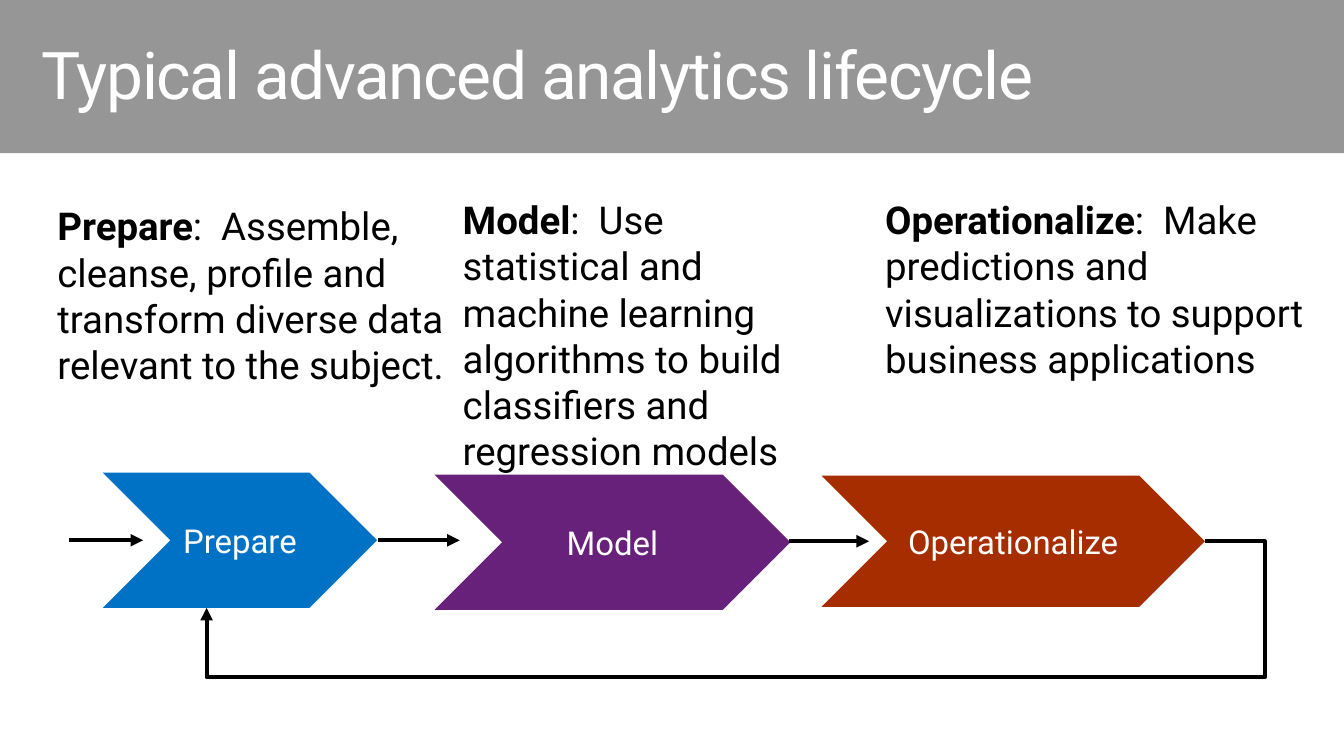
from lxml import etree
from pptx import Presentation
from pptx.dml.color import RGBColor
from pptx.enum.shapes import MSO_CONNECTOR, MSO_SHAPE
from pptx.enum.text import MSO_ANCHOR, PP_ALIGN
from pptx.oxml.ns import qn
from pptx.util import Inches, Pt

STRAIGHT, ELBOW = MSO_CONNECTOR.STRAIGHT, MSO_CONNECTOR.ELBOW
CHEVRON, RECTANGLE = MSO_SHAPE.CHEVRON, MSO_SHAPE.RECTANGLE
TOP, MIDDLE = MSO_ANCHOR.TOP, MSO_ANCHOR.MIDDLE
LEFT, CENTER = PP_ALIGN.LEFT, PP_ALIGN.CENTER

FONT = "Roboto"
COLORS = {"band": "969696", "text": "000000", "light": "FFFFFF", "line": "000000",
          "prepare": "0072C6", "model": "68217A", "operationalize": "A52D00"}

# Description: name, text, box, horizontal and vertical inset
DESCRIPTIONS = [
    ("Prepare", "Assemble, cleanse, profile and transform diverse data "
     "relevant to the subject.", (0.37, 1.85, 4.66, 1.58), (0.2, 0.16)),
    ("Model", "Use statistical and machine learning algorithms to build "
     "classifiers and regression models", (4.43, 1.85, 4.06, 2.55), (0.16, 0.1)),
    ("Operationalize", "Make predictions and visualizations to support "
     "business applications", (8.62, 1.85, 4.66, 2.08), (0.16, 0.1)),
]

# Stage: name, box, length of the arrow leading in, gap before that arrow
STAGES = [
    ("Prepare", (1.02, 4.69, 2.72, 1.34)),
    ("Model", (4.31, 4.71, 3.53, 1.34)),
    ("Operationalize", (8.15, 4.72, 3.8, 1.3)),
]
ARROWS = [(0.68, 1.42, 5.36), (3.75, 4.56, 5.36), (7.83, 8.62, 5.37)]


def color(name):
    return RGBColor.from_string(COLORS[name])


def set_frame(tf, insets, anchor):
    tf.word_wrap = True
    tf.vertical_anchor = anchor
    tf.margin_left = tf.margin_right = Inches(insets[0])
    tf.margin_top = tf.margin_bottom = Inches(insets[1])


def set_font(p, size, name, align=LEFT):
    p.alignment = align
    p.font.name = FONT
    p.font.size = Pt(size)
    p.font.color.rgb = color(name)


def add_block(s, kind, box, fill):
    sp = s.shapes.add_shape(kind, *map(Inches, box))
    sp.shadow.inherit = False
    sp.fill.solid()
    sp.fill.fore_color.rgb = color(fill)
    sp.line.fill.background()
    return sp


def add_header(s, box, text):
    left, top, width, height = box
    add_block(s, RECTANGLE, box, "band")
    title = s.shapes.title
    title.left, title.top = Inches(left + 0.25), Inches(top + 0.32)
    title.width, title.height = Inches(width - 0.59), Inches(height - 0.54)
    # Bring the title in front of the band
    title.element.getparent().append(title.element)
    tf = title.text_frame
    set_frame(tf, (0.16, 0.1), TOP)
    p = tf.paragraphs[0]
    p.line_spacing = 0.9
    set_font(p, 47, "light")
    r = p.add_run()
    r.text = text
    r.font.size = Pt(47)
    r.font._element.set("spc", "-100")


def add_description(s, name, text, box, insets):
    tf = s.shapes.add_textbox(*map(Inches, box)).text_frame
    set_frame(tf, insets, TOP)
    p = tf.paragraphs[0]
    set_font(p, 27.4, "text")
    r = p.add_run()
    r.text = name
    r.font.bold = True
    p.add_run().text = f":  {text}"


def add_stage(s, name, box):
    tf = add_block(s, CHEVRON, box, name.lower()).text_frame
    set_frame(tf, (0, 0), MIDDLE)
    p = tf.paragraphs[0]
    p.text = name
    set_font(p, 23.5, "light", CENTER)


def add_arrow(s, kind, start, end):
    cx = s.shapes.add_connector(kind, *map(Inches, start + end))
    cx.line.color.rgb = color("line")
    cx.line.width = Pt(3)
    etree.SubElement(cx.line._get_or_add_ln(), qn("a:tailEnd"), type="triangle")
    etree.SubElement(cx.element.spPr, qn("a:effectLst"))
    return cx


def add_feedback_loop(s, start, end, right, bottom):
    cx = add_arrow(s, ELBOW, start, end)
    geom = cx.element.spPr.find(qn("a:prstGeom"))
    geom.set("prst", "bentConnector4")
    guides = geom.find(qn("a:avLst"))
    if guides is None:
        guides = etree.SubElement(geom, qn("a:avLst"))
    # Bend positions as shares of the connector's width and height
    bends = ((start[0] - right) / (start[0] - end[0]),
             (bottom - start[1]) / (end[1] - start[1]))
    for i, share in enumerate(bends, 1):
        etree.SubElement(guides, qn("a:gd"), name=f"adj{i}",
                         fmla=f"val {round(share * 100000)}")


def add_lifecycle(s):
    for name, box in STAGES:
        add_stage(s, name, box)
    for x1, x2, y in ARROWS:
        add_arrow(s, STRAIGHT, (x1, y), (x2, y))
    add_feedback_loop(s, (11.95, 5.37), (2.05, 6.03), right=12.54, bottom=6.72)


def main():
    prs = Presentation()
    prs.slide_width, prs.slide_height = Inches(13.33), Inches(7.5)
    s = prs.slides.add_slide(prs.slide_layouts[5])
    add_header(s, (0, 0, 13.33, 1.52), "Typical advanced analytics lifecycle")
    add_lifecycle(s)
    for description in DESCRIPTIONS:
        add_description(s, *description)
    prs.save("out.pptx")


if __name__ == "__main__":
    main()
